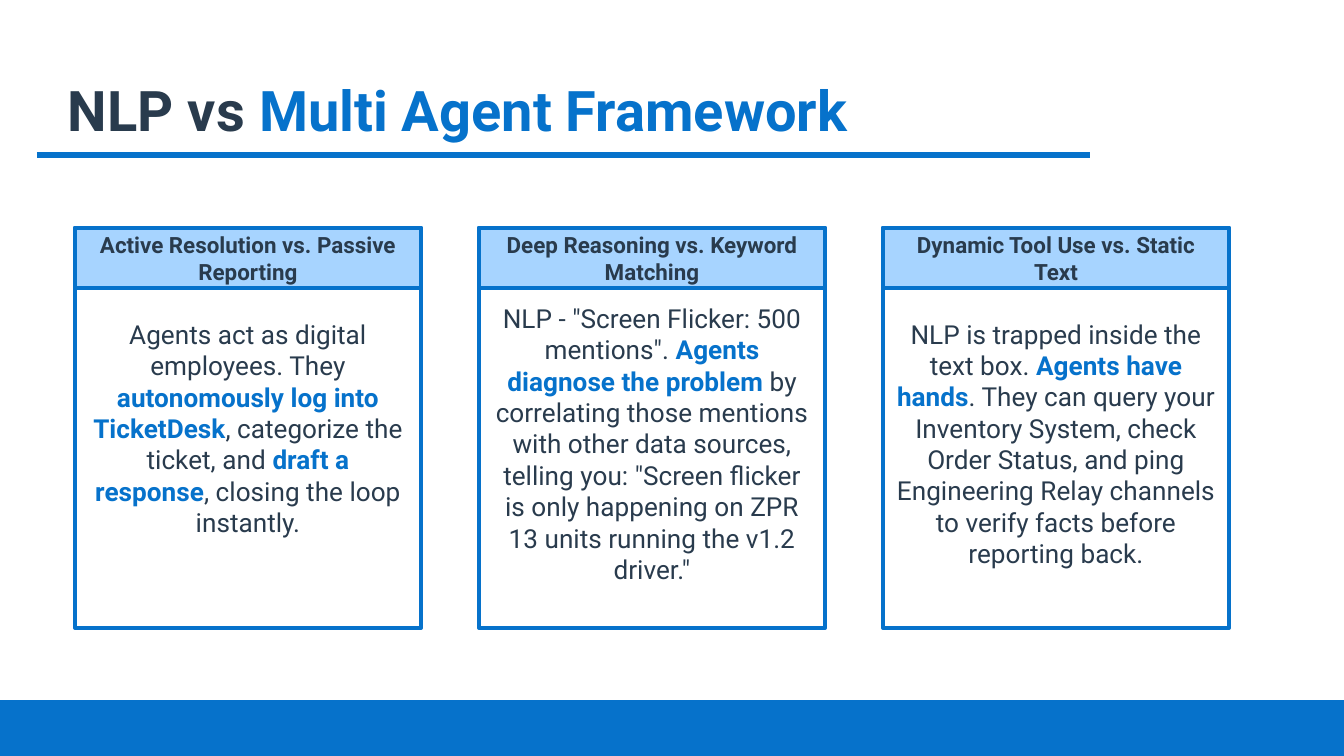
from lxml import etree
from pptx import Presentation
from pptx.dml.color import RGBColor
from pptx.enum.shapes import MSO_CONNECTOR, MSO_SHAPE
from pptx.enum.text import MSO_ANCHOR, MSO_AUTO_SIZE, PP_ALIGN
from pptx.oxml.ns import qn
from pptx.util import Pt

RECT = MSO_SHAPE.RECTANGLE
STRAIGHT = MSO_CONNECTOR.STRAIGHT
MIDDLE, BOTTOM = MSO_ANCHOR.MIDDLE, MSO_ANCHOR.BOTTOM
LEFT, CENTER = PP_ALIGN.LEFT, PP_ALIGN.CENTER
NO_FIT = MSO_AUTO_SIZE.NONE

BLUE = RGBColor(0x06, 0x72, 0xCB)
PALE_BLUE = RGBColor(0xA7, 0xD4, 0xFF)
NAVY = RGBColor(0x29, 0x3B, 0x4D)
WHITE = RGBColor(0xFF, 0xFF, 0xFF)

SLIDE_W, SLIDE_H = 1344, 756
EMU_PER_PX = 9144000 / SLIDE_W


def px(n):
    return round(n * EMU_PER_PX)


class Deck:
    """Style and current slide; text is a list of (text, color, bold) runs."""
    font = "Roboto"
    inset = 13

    def __init__(self):
        self.prs = Presentation()
        self.prs.slide_width = px(SLIDE_W)
        self.prs.slide_height = px(SLIDE_H)
        self.s = self.prs.slides.add_slide(self.prs.slide_layouts[5])

    def set_text(self, sp, runs, size, align, anchor, top_inset=inset):
        tf = sp.text_frame
        tf.word_wrap = True
        tf.auto_size = NO_FIT
        tf.vertical_anchor = anchor
        tf.margin_left = tf.margin_right = tf.margin_bottom = px(self.inset)
        tf.margin_top = px(top_inset)
        p = tf.paragraphs[0]
        p.alignment = align
        for text, color, bold in runs:
            r = p.add_run()
            r.text = text
            r.font.name = self.font
            r.font.size = Pt(size)
            r.font.bold = bold
            r.font.color.rgb = color

    def title(self, x, y, w, h, runs):
        sp = self.s.shapes.title
        sp.left, sp.top, sp.width, sp.height = map(px, (x, y, w, h))
        self.set_text(sp, runs, 30, LEFT, BOTTOM)

    def box(self, shapes, x, y, w, h, fill, line_width):
        sp = shapes.add_shape(RECT, px(x), px(y), px(w), px(h))
        sp.shadow.inherit = False
        sp.fill.solid()
        sp.fill.fore_color.rgb = fill
        sp.line.color.rgb = BLUE
        sp.line.width = Pt(line_width)
        return sp

    def rule(self, x1, x2, y):
        line = self.s.shapes.add_connector(STRAIGHT, px(x1), px(y), px(x2), px(y))
        line.line.color.rgb = BLUE
        line.line.width = Pt(3)
        etree.SubElement(line._element.spPr, qn("a:effectLst"))

    def card(self, x, y, w, h, heading, body, top_inset):
        group = self.s.shapes.add_group_shape()
        panel = self.box(group.shapes, x, y, w, h, WHITE, 2.25)
        self.set_text(panel, body, 14, CENTER, MIDDLE, top_inset)
        header = self.box(group.shapes, x, y, w, 60, PALE_BLUE, 2.25)
        self.set_text(header, [(heading, NAVY, True)], 12, CENTER, MIDDLE)


def plain(text):
    return text, NAVY, False


def strong(text):
    return text, BLUE, True


# Heading, body runs, top inset of the body
CARDS = [
    ("Active Resolution vs. Passive Reporting",
     [plain("Agents act as digital employees. They "),
      strong("autonomously log into TicketDesk"),
      plain(", categorize the ticket, and "),
      strong("draft a response"),
      plain(", closing the loop instantly.")], 13),
    ("Deep Reasoning vs. Keyword Matching",
     [plain('NLP - "Screen Flicker: 500 mentions". '),
      strong("Agents diagnose the problem"),
      plain(" by correlating those mentions with other data sources, "
            'telling you: "Screen flicker is only happening on ZPR 13 units '
            'running the v1.2 driver."')], 44),
    ("Dynamic Tool Use vs. Static Text",
     [plain("NLP is trapped inside the text box. "),
      strong("Agents have hands"),
      plain(". They can query your Inventory System, check Order Status, "
            "and ping Engineering Relay channels to verify facts before "
            "reporting back.")], 44),
]


def main():
    deck = Deck()

    # Footer band, title and its rule
    deck.box(deck.s.shapes, 0, 701, SLIDE_W, 55, BLUE, 0.75)
    deck.rule(37, 1090, 155)
    deck.title(55, 26, 1070, 130,
               [("NLP vs ", NAVY, True), strong("Multi Agent Framework")])

    # Three equal cards
    for i, (heading, body, top_inset) in enumerate(CARDS):
        deck.card(75 + 404 * i, 228, 346, 400, heading, body, top_inset)

    deck.prs.save("out.pptx")


if __name__ == "__main__":
    main()
